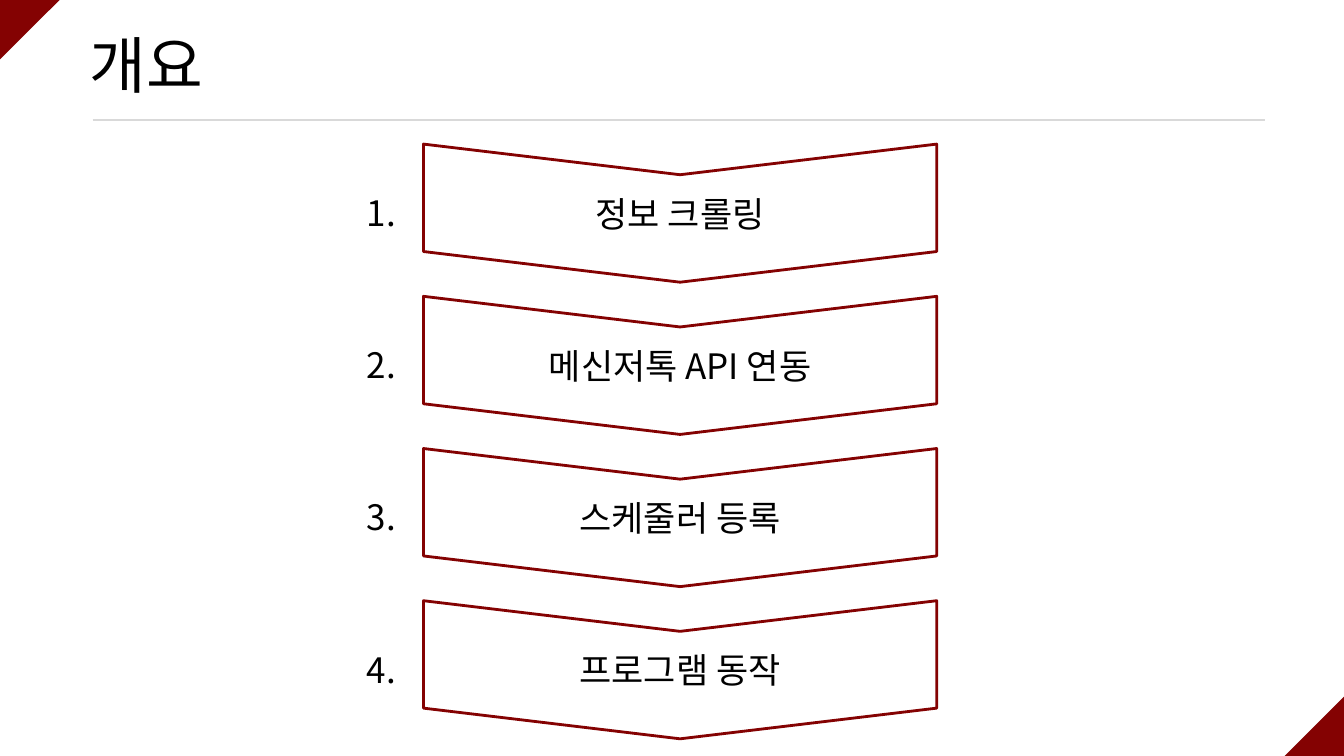
import pptx
import pptx.dml.color
import pptx.enum.shapes
import pptx.enum.text
import pptx.oxml
import pptx.oxml.ns
import pptx.util

Inches = pptx.util.Inches
Shape = pptx.enum.shapes.MSO_SHAPE
Align = pptx.enum.text.PP_ALIGN
Anchor = pptx.enum.text.MSO_ANCHOR
AutoSize = pptx.enum.text.MSO_AUTO_SIZE

COLORS = {"accent": "840202", "rule": "D9D9D9", "text": "000000"}
FONT = "Noto Sans CJK KR"
STEPS = ["정보 크롤링", "메신저톡 API 연동", "스케줄러 등록", "프로그램 동작"]
STEP_PITCH = 1.51


def color(name):
    return pptx.dml.color.RGBColor.from_string(COLORS[name])


def write(box, text, size, align):
    """Fill a box with one formatted paragraph."""
    box.text_frame.text = text
    para = box.text_frame.paragraphs[0]
    para.alignment = align
    span = para.runs[0]
    span.font.size = pptx.util.Pt(size)
    span.font.name = FONT
    span.font.color.rgb = color("text")
    # Hangul takes its face from the East Asian font slot
    east_asian = pptx.oxml.parse_xml(
        f'<a:ea {pptx.oxml.ns.nsdecls("a")} typeface="{FONT}"/>')
    span.font._element.append(east_asian)


deck = pptx.Presentation()
deck.slide_width = Inches(13.33)
deck.slide_height = Inches(7.5)
page = deck.slides.add_slide(deck.slide_layouts[5])

# Title
title = page.shapes.title
title.left, title.top = Inches(0.79), Inches(-0.04)
title.width, title.height = Inches(11.5), Inches(1.45)
write(title, "개요", 44, Align.LEFT)
title.text_frame.vertical_anchor = Anchor.MIDDLE
title.text_frame.auto_size = AutoSize.NONE
title.text_frame.paragraphs[0].line_spacing = 0.9

# Rule under the title
rule = page.shapes.add_connector(
    pptx.enum.shapes.MSO_CONNECTOR.STRAIGHT,
    Inches(0.92), Inches(1.19), Inches(12.55), Inches(1.19))
rule.line.color.rgb = color("rule")
rule.line.width = pptx.util.Pt(2)
rule._element.spPr.append(
    pptx.oxml.parse_xml(f'<a:effectLst {pptx.oxml.ns.nsdecls("a")}/>'))

# Corner triangles
for left, top, rotation in [(12.74, 6.91, 0), (0, 0, 180)]:
    corner = page.shapes.add_shape(
        Shape.ISOSCELES_TRIANGLE,
        Inches(left), Inches(top), Inches(0.59), Inches(0.59))
    corner.adjustments[0] = 1
    corner.rotation = rotation
    corner.shadow.inherit = False
    corner.fill.solid()
    corner.fill.fore_color.rgb = color("accent")
    corner.line.fill.background()

# Numbered steps: chevrons turned to point down, text kept upright
for index, step in enumerate(STEPS):
    offset = index * STEP_PITCH
    chevron = page.shapes.add_shape(
        Shape.CHEVRON, Inches(6.06), Inches(-0.43 + offset),
        Inches(1.37), Inches(5.09))
    chevron.adjustments[0] = 0.222
    chevron.rotation = 90
    chevron.shadow.inherit = False
    chevron.fill.background()
    chevron.line.color.rgb = color("accent")
    chevron.line.width = pptx.util.Pt(2)
    write(chevron, step, 25, Align.CENTER)
    chevron.text_frame.vertical_anchor = Anchor.MIDDLE
    chevron.text_frame._txBody.bodyPr.set("vert", "vert270")

    number = page.shapes.add_textbox(
        Inches(3.54), Inches(1.85 + offset), Inches(0.5), Inches(0.52))
    write(number, f"{index + 1}.", 25, Align.LEFT)
    number.text_frame.word_wrap = True
    number.text_frame.auto_size = AutoSize.SHAPE_TO_FIT_TEXT

deck.save("out.pptx")
